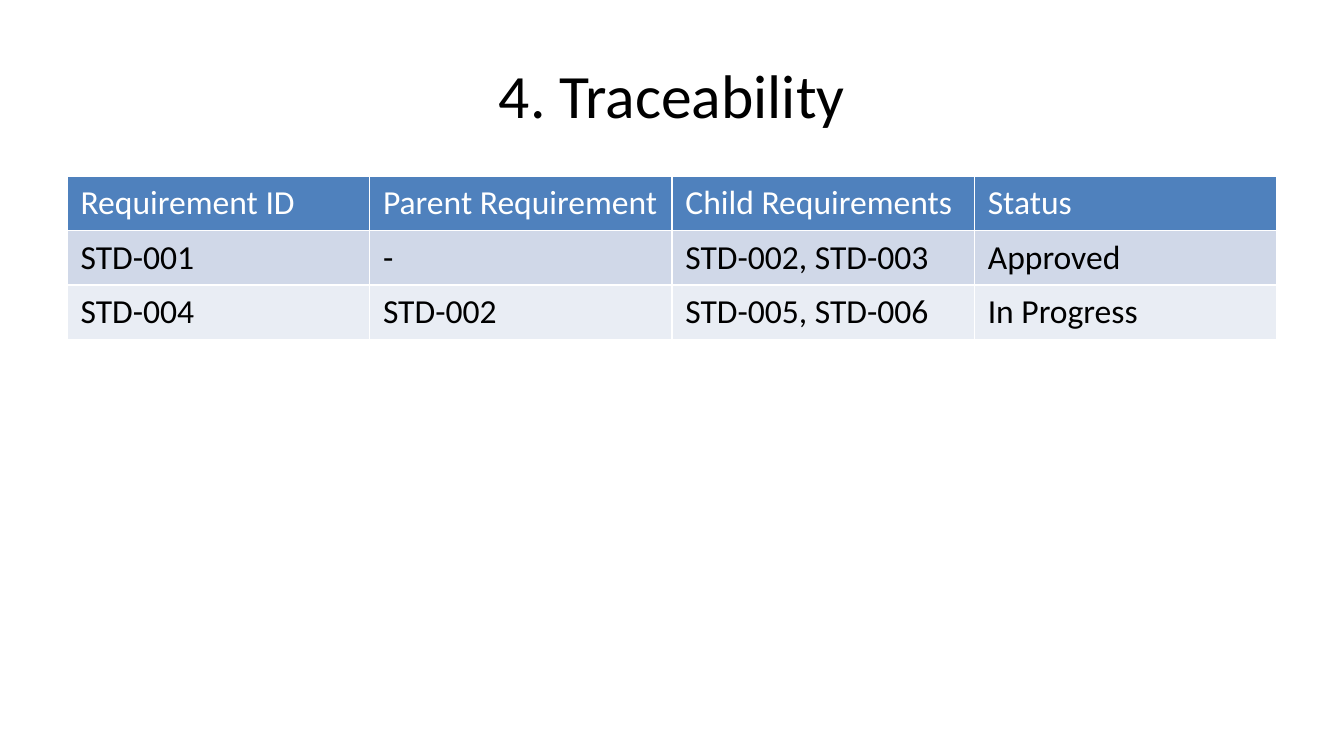
import dataclasses

import pptx
import pptx.dml.color
import pptx.enum.text
import pptx.util
from pptx.util import Cm


@dataclasses.dataclass(frozen=True)
class Theme:
    font: str = "Calibri"
    title_size: int = 33
    table_size: int = 18
    text: str = "000000"
    header_text: str = "FFFFFF"
    header_fill: str = "4F81BD"
    band_fills: tuple = ("D0D8E8", "E9EDF4")


THEME = Theme()

ROWS = [
    ("Requirement ID", "Parent Requirement", "Child Requirements", "Status"),
    ("STD-001", "-", "STD-002, STD-003", "Approved"),
    ("STD-004", "STD-002", "STD-005, STD-006", "In Progress"),
]
MARGIN = Cm(1.27)
CONTENT_WIDTH = Cm(22.86)
ROW_HEIGHT = Cm(1.03)


def style_paragraph(paragraph, size, color):
    paragraph.font.name = THEME.font
    paragraph.font.size = pptx.util.Pt(size)
    paragraph.font.bold = False
    paragraph.font.color.rgb = pptx.dml.color.RGBColor.from_string(color)


presentation = pptx.Presentation()
presentation.slide_width = Cm(25.4)
presentation.slide_height = Cm(14.29)
slide = presentation.slides.add_slide(presentation.slide_layouts.get_by_name("Title Only"))

# Title
title = slide.shapes.title
title.left, title.top, title.width, title.height = MARGIN, Cm(0.58), CONTENT_WIDTH, Cm(2.38)
title.text_frame.text = "4. Traceability"
title.text_frame.auto_size = pptx.enum.text.MSO_AUTO_SIZE.NONE
title.text_frame.vertical_anchor = pptx.enum.text.MSO_ANCHOR.MIDDLE
title_paragraph = title.text_frame.paragraphs[0]
title_paragraph.alignment = pptx.enum.text.PP_ALIGN.CENTER
style_paragraph(title_paragraph, THEME.title_size, THEME.text)

# Traceability table; its default style supplies the white cell borders
table = slide.shapes.add_table(
    len(ROWS), len(ROWS[0]), MARGIN, Cm(3.33), CONTENT_WIDTH, ROW_HEIGHT * len(ROWS)
).table
for row_index, row in enumerate(ROWS):
    is_header = row_index == 0
    fill = THEME.header_fill if is_header else THEME.band_fills[(row_index - 1) % 2]
    color = THEME.header_text if is_header else THEME.text
    for column_index, text in enumerate(row):
        cell = table.cell(row_index, column_index)
        cell.text = text
        cell.fill.solid()
        cell.fill.fore_color.rgb = pptx.dml.color.RGBColor.from_string(fill)
        style_paragraph(cell.text_frame.paragraphs[0], THEME.table_size, color)

presentation.save("out.pptx")
